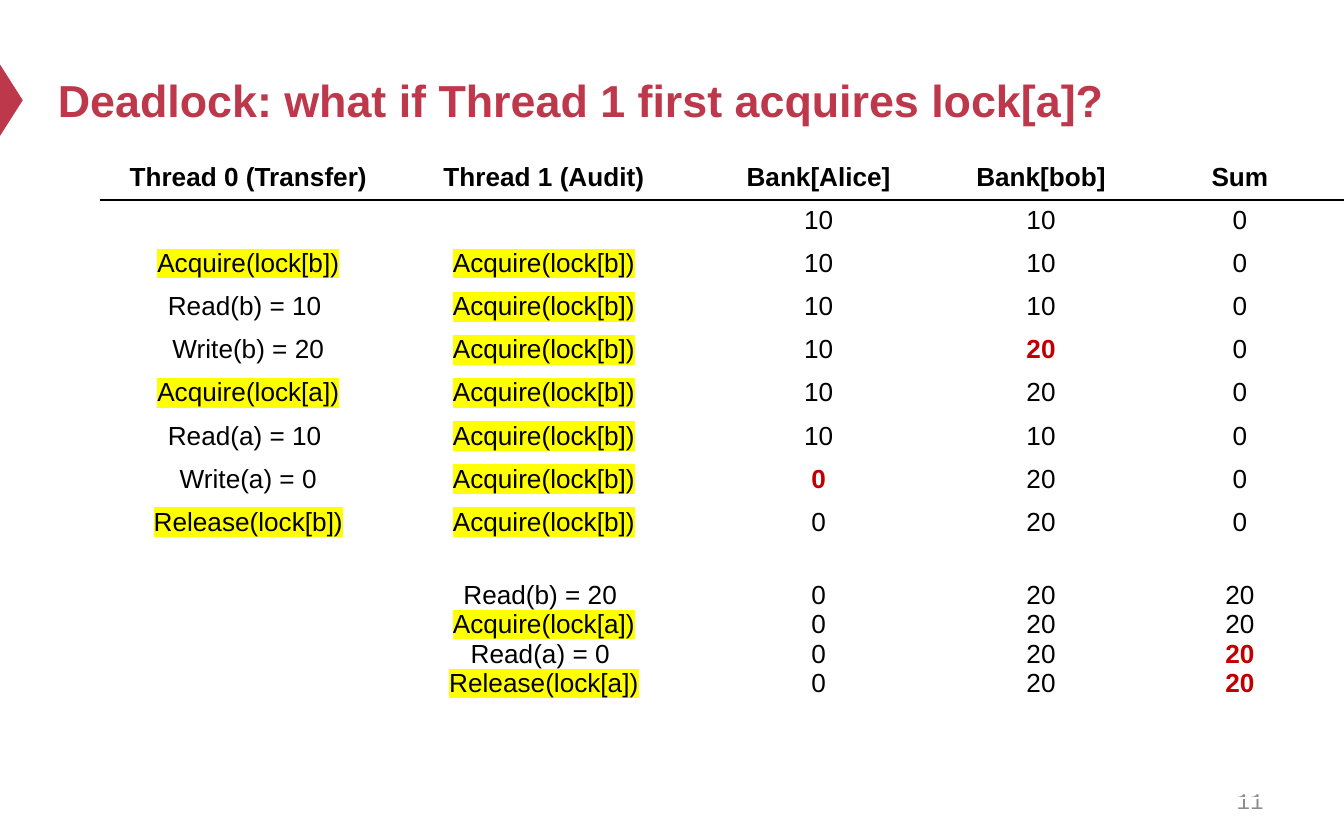
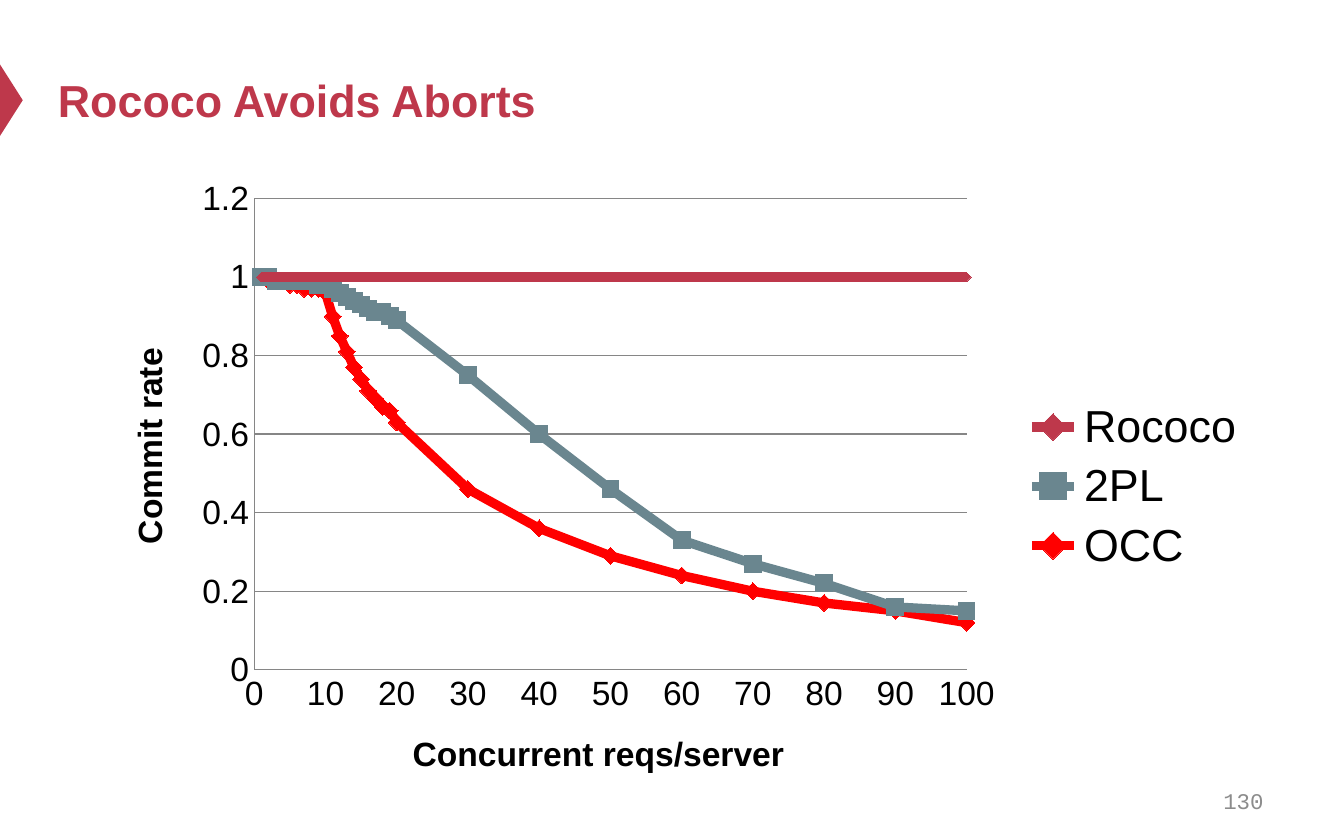
from dataclasses import dataclass

from lxml import etree
from pptx import Presentation
from pptx.chart.data import XyChartData
from pptx.dml.color import RGBColor
from pptx.enum.chart import XL_CHART_TYPE, XL_LEGEND_POSITION, XL_MARKER_STYLE, XL_TICK_MARK
from pptx.enum.shapes import MSO_SHAPE
from pptx.enum.text import MSO_ANCHOR, PP_ALIGN
from pptx.oxml.ns import qn
from pptx.util import Cm, Pt

SCATTER = XL_CHART_TYPE.XY_SCATTER_LINES
LEGEND_RIGHT = XL_LEGEND_POSITION.RIGHT
DIAMOND, SQUARE = XL_MARKER_STYLE.DIAMOND, XL_MARKER_STYLE.SQUARE
NO_TICK = XL_TICK_MARK.NONE
TRIANGLE = MSO_SHAPE.ISOSCELES_TRIANGLE
MIDDLE = MSO_ANCHOR.MIDDLE
LEFT, CENTER, RIGHT = PP_ALIGN.LEFT, PP_ALIGN.CENTER, PP_ALIGN.RIGHT


@dataclass(frozen=True)
class Theme:
    """Colours, fonts and type sizes of the deck."""
    accent: str = "BE384B"
    slate: str = "6A868F"
    red: str = "FF0000"
    changed: str = "C00000"
    highlight: str = "FFFF00"
    ink: str = "000000"
    paper: str = "FFFFFF"
    muted: str = "8C8C8C"
    grid: str = "868686"
    font: str = "Arial"
    mono: str = "Courier New"
    title: int = 24
    legend: int = 24
    axis: int = 18
    cell: int = 14
    number: int = 12


@dataclass(frozen=True)
class Box:
    """A region in centimetres."""
    x: float
    y: float
    w: float
    h: float

    def place(self):
        """Return left, top, width and height as lengths."""
        return Cm(self.x), Cm(self.y), Cm(self.w), Cm(self.h)


T = Theme()
TITLE_BOX = Box(0.84, 0.64, 22.86, 2.49)
ARROW_BOX = Box(-0.46, 1.68, 1.35, 0.43)
NUMBER_BOX = Box(18.21, 14.71, 5.92, 0.84)
TABLE_BOX = Box(1.9, 2.97, 23.49, 12.82)
CHART_BOX = Box(1.96, 3.15, 21.89, 12.09)

COLUMN_SHARES = (2.2, 2.2, 1.89, 1.42, 1.54)
ROW_HEIGHT = 0.81
AUDIT_ROW = 9
ACQ_B = "Acquire(lock[b])"
SCHEDULE = [
    ("Thread 0 (Transfer)", "Thread 1 (Audit)", "Bank[Alice]", "Bank[bob]", "Sum"),
    ("", "", "10", "10", "0"),
    (ACQ_B, ACQ_B, "10", "10", "0"),
    ("Read(b) = 10 ", ACQ_B, "10", "10", "0"),
    ("Write(b) = 20", ACQ_B, "10", "20", "0"),
    ("Acquire(lock[a])", ACQ_B, "10", "20", "0"),
    ("Read(a) = 10 ", ACQ_B, "10", "10", "0"),
    ("Write(a) = 0", ACQ_B, "0", "20", "0"),
    ("Release(lock[b])", ACQ_B, "0", "20", "0"),
    ("", "Read(b) = 20 \nAcquire(lock[a])\nRead(a) = 0 \nRelease(lock[a])",
     "0\n0\n0\n0", "20\n20\n20\n20", "20\n20\n20\n20"),
] + [("",) * 5] * 3
CHANGED = {(4, 3, 0), (7, 2, 0), (9, 4, 2), (9, 4, 3)}

REQUESTS = [*range(1, 21), *range(30, 101, 10)]
COMMIT_RATES = [
    ("Rococo", T.accent, DIAMOND, 5, [1] * len(REQUESTS)),
    ("2PL", T.slate, SQUARE, 9,
     [1, 1, 0.99, 0.99, 0.99, 0.99, 0.99, 0.99, 0.98, 0.98, 0.97, 0.96, 0.95, 0.94,
      0.93, 0.92, 0.91, 0.91, 0.9, 0.89, 0.75, 0.6, 0.46, 0.33, 0.27, 0.22, 0.16, 0.15]),
    ("OCC", T.red, DIAMOND, 9,
     [1, 0.99, 0.99, 0.99, 0.98, 0.98, 0.97, 0.97, 0.97, 0.96, 0.9, 0.85, 0.81, 0.77,
      0.74, 0.71, 0.69, 0.67, 0.66, 0.63, 0.46, 0.36, 0.29, 0.24, 0.2, 0.17, 0.15, 0.12]),
]


def style_font(font, size, color=T.ink, bold=False, name=T.font):
    """Set the face, size, weight and colour of a font."""
    font.name, font.size, font.bold = name, Pt(size), bold
    font.color.rgb = RGBColor.from_string(color)


def add_run(p, text, size, **look):
    """Append a styled run to a paragraph."""
    r = p.add_run()
    r.text = text
    style_font(r.font, size, **look)
    return r


def add_color(parent, tag, color):
    """Append an element of the given tag holding an RGB colour."""
    el = etree.SubElement(parent, qn(tag))
    etree.SubElement(el, qn("a:srgbClr"), val=color)
    return el


def highlight(r):
    """Mark a run with the highlight colour."""
    rPr = r._r.get_or_add_rPr()
    rPr.find(qn("a:solidFill")).addnext(add_color(rPr, "a:highlight", T.highlight))


def set_borders(cell, top, bottom):
    """Draw 1 pt borders, with the given top and bottom colours."""
    tcPr = cell._tc.get_or_add_tcPr()
    sides = (("L", T.paper), ("R", T.paper), ("T", top), ("B", bottom))
    for i, (side, color) in enumerate(sides):
        ln = etree.Element(qn(f"a:ln{side}"), w=str(Pt(1)))
        add_color(ln, "a:solidFill", color)
        tcPr.insert(i, ln)


def add_frame(prs, title, number):
    """Add a slide with its title, edge arrow and slide number."""
    s = prs.slides.add_slide(prs.slide_layouts[5])
    sp = s.shapes.title
    sp.left, sp.top, sp.width, sp.height = TITLE_BOX.place()
    tf = sp.text_frame
    tf.word_wrap, tf.vertical_anchor = True, MIDDLE
    p = tf.paragraphs[0]
    p.alignment = LEFT
    add_run(p, title, T.title, color=T.accent, bold=True)

    arrow = s.shapes.add_shape(TRIANGLE, *ARROW_BOX.place())
    arrow.rotation = 90
    arrow.shadow.inherit = False
    arrow.fill.solid()
    arrow.fill.fore_color.rgb = RGBColor.from_string(T.accent)
    arrow.line.fill.background()

    tf = s.shapes.add_textbox(*NUMBER_BOX.place()).text_frame
    tf.word_wrap, tf.vertical_anchor = True, MIDDLE
    p = tf.paragraphs[0]
    p.alignment = RIGHT
    add_run(p, number, T.number, color=T.muted, name=T.mono)
    return s


def fill_cell(cell, row, col, text):
    """Write the lines of one schedule cell and format it."""
    cell.fill.background()
    cell.margin_top = Cm(0.68 if row == AUDIT_ROW else 0.11)
    cell.margin_bottom = Cm(0.11)
    set_borders(cell, T.ink if row == 1 else T.paper, T.ink if row == 0 else T.paper)
    tf = cell.text_frame
    for i, line in enumerate(text.split("\n")):
        p = tf.add_paragraph() if i else tf.paragraphs[0]
        p.alignment = CENTER
        if not line:
            etree.SubElement(p._p, qn("a:endParaRPr"), sz=str(T.cell * 100))
            continue
        changed = (row, col, i) in CHANGED
        r = add_run(p, line, T.cell, color=T.changed if changed else T.ink,
                    bold=changed or row == 0)
        if line.startswith(("Acquire", "Release")):
            highlight(r)


def add_schedule(s, box):
    """Add the table of interleaved thread steps."""
    table = s.shapes.add_table(len(SCHEDULE), len(COLUMN_SHARES), *box.place()).table
    table.first_row = table.horz_banding = False
    for column, share in zip(table.columns, COLUMN_SHARES):
        column.width = Cm(box.w * share / sum(COLUMN_SHARES))
    for row, texts in enumerate(SCHEDULE):
        plain = ROW_HEIGHT * (len(SCHEDULE) - 1)
        table.rows[row].height = Cm(box.h - plain if row == AUDIT_ROW else ROW_HEIGHT)
        for col, text in enumerate(texts):
            fill_cell(table.cell(row, col), row, col, text)


def set_plot_area(chart, **fractions):
    """Fix the inner plot area as fractions of the chart."""
    area = chart.element.find(".//" + qn("c:plotArea"))
    for old in area.findall(qn("c:layout")):
        area.remove(old)
    layout = etree.Element(qn("c:layout"))
    area.insert(0, layout)
    manual = etree.SubElement(layout, qn("c:manualLayout"))
    values = {"layoutTarget": "inner", "xMode": "edge", "yMode": "edge", **fractions}
    for tag, value in values.items():
        etree.SubElement(manual, qn(f"c:{tag}"), val=str(value))


def format_axis(axis, title, maximum, step):
    """Scale, title and style one chart axis."""
    axis.minimum_scale, axis.maximum_scale, axis.major_unit = 0, maximum, step
    axis.major_tick_mark = axis.minor_tick_mark = NO_TICK
    axis.tick_labels.number_format = "General"
    axis.tick_labels.number_format_is_linked = False
    style_font(axis.tick_labels.font, T.axis)
    axis.format.line.color.rgb = RGBColor.from_string(T.grid)
    axis.format.line.width = Pt(0.75)
    add_run(axis.axis_title.text_frame.paragraphs[0], title, T.axis, bold=True)


def add_commit_chart(s, box):
    """Add the scatter chart of commit rates."""
    data = XyChartData()
    for name, _, _, _, rates in COMMIT_RATES:
        series = data.add_series(name)
        for x, y in zip(REQUESTS, rates):
            series.add_data_point(x, y)
    chart = s.shapes.add_chart(SCATTER, *box.place(), data).chart
    chart.has_title = False
    style_font(chart.font, T.axis)
    chart.plots[0].vary_by_categories = False
    set_plot_area(chart, x=0.13, y=0.05, w=0.615, h=0.737)

    for series, (_, color, style, size, _) in zip(chart.plots[0].series, COMMIT_RATES):
        rgb = RGBColor.from_string(color)
        series.format.line.color.rgb = rgb
        series.format.line.width = Pt(5)
        marker = series.marker
        marker.style, marker.size = style, size
        marker.format.fill.solid()
        marker.format.fill.fore_color.rgb = rgb
        marker.format.line.fill.background()

    format_axis(chart.category_axis, "Concurrent reqs/server", 100, 10)
    format_axis(chart.value_axis, "Commit rate", 1.2, 0.2)
    chart.category_axis.has_major_gridlines = False
    chart.value_axis.has_major_gridlines = True
    line = chart.value_axis.major_gridlines.format.line
    line.color.rgb, line.width = RGBColor.from_string(T.grid), Pt(0.75)

    chart.has_legend = True
    chart.legend.position = LEGEND_RIGHT
    chart.legend.include_in_layout = False
    style_font(chart.legend.font, T.legend)


def main():
    """Build and save the deck."""
    prs = Presentation()
    prs.slide_width, prs.slide_height = Cm(25.4), Cm(15.88)
    s = add_frame(prs, "Deadlock: what if Thread 1 first acquires lock[a]?", "11")
    add_schedule(s, TABLE_BOX)
    s = add_frame(prs, "Rococo Avoids Aborts", "130")
    add_commit_chart(s, CHART_BOX)
    prs.save("out.pptx")


if __name__ == "__main__":
    main()
